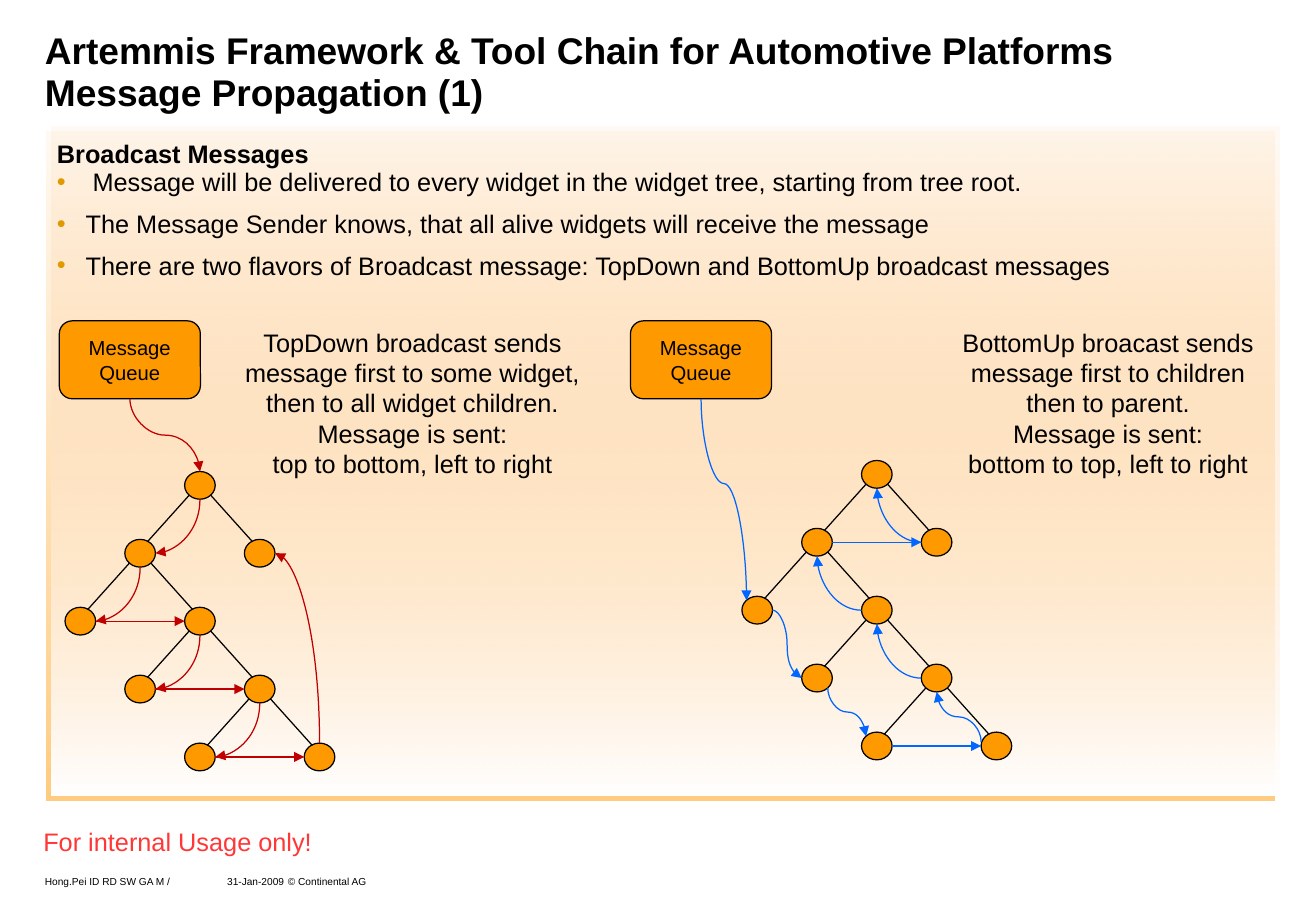
from lxml.etree import SubElement
from pptx import Presentation
from pptx.dml.color import RGBColor
from pptx.enum.shapes import MSO_CONNECTOR as Link, MSO_SHAPE as Shape
from pptx.enum.text import MSO_ANCHOR as Anchor, MSO_AUTO_SIZE as AutoSize, PP_ALIGN as Align
from pptx.oxml.ns import qn
from pptx.util import Cm, Pt

BLACK = RGBColor(0x00, 0x00, 0x00)
WHITE = RGBColor(0xFF, 0xFF, 0xFF)
ORANGE = RGBColor(0xFF, 0x99, 0x00)
PEACH = RGBColor(0xFF, 0xCC, 0x99)
OCHRE = RGBColor(0xE1, 0x99, 0x00)
NOTICE_RED = RGBColor(0xFF, 0x37, 0x37)
DARK_RED = RGBColor(0xC0, 0x00, 0x00)
BLUE = RGBColor(0x00, 0x66, 0xFF)

NODE_SIZE = (0.64, 0.58)
COLUMN_STEP, LEVEL_STEP = 1.25, 1.42
LEVELS = [(-1, 1), (-2, 0), (-1, 1), (0, 2)]
PARENTS = [0, 1, 4, 6]
PORTS = {
    "top": (0, -0.5, True),
    "bottom": (0, 0.5, True),
    "left": (-0.5, 0, False),
    "right": (0.5, 0, False),
    "top left": (-0.35, -0.35, True),
    "bottom right": (0.35, 0.35, True),
    "shoulder": (-0.5, -0.15, True),
}
TOP_DOWN = [
    (0, "bottom", 1, "right"), (8, "top", 2, "right"),
    (1, "bottom", 3, "right"), (3, "right", 4, "left"),
    (4, "bottom", 5, "right"), (5, "right", 6, "left"),
    (6, "bottom", 7, "right"), (7, "right", 8, "left"),
]
BOTTOM_UP = [
    (1, "right", 2, "left"), (2, "left", 0, "bottom"),
    (3, "right", 5, "left"), (4, "left", 1, "bottom"),
    (5, "bottom right", 7, "top left"), (6, "left", 4, "bottom"),
    (8, "shoulder", 6, "bottom"), (7, "right", 8, "left"),
]


def add_child(parent, tag, **attributes):
    return SubElement(parent, qn(tag), {key: str(value) for key, value in attributes.items()})


def write(para, text, size=15, color=BLACK, bold=False, align=Align.LEFT,
          line=None, after=None, bullet=None, tabs=()):
    para.alignment = align
    if line:
        para.line_spacing = Pt(line)
    para.space_before = Pt(0)
    para.space_after = Pt(after or 0)
    props = para._p.get_or_add_pPr()
    indent = Cm(0.6) if bullet else 0
    props.set("marL", str(indent))
    props.set("indent", str(-indent))
    if bullet:
        add_child(add_child(props, "a:buClr"), "a:srgbClr", val=OCHRE)
        add_child(props, "a:buFont", typeface="Arial")
        add_child(props, "a:buChar", char=bullet)
    else:
        add_child(props, "a:buNone")
    if tabs:
        stops = add_child(props, "a:tabLst")
        for position in tabs:
            add_child(stops, "a:tab", pos=Cm(position), algn="l")
    span = para.add_run()
    span.text = text
    span.font.name = "Arial"
    span.font.size = Pt(size)
    span.font.bold = bold
    span.font.color.rgb = color


def write_lines(frame, lines, **style):
    for index, text in enumerate(lines):
        write(frame.add_paragraph() if index else frame.paragraphs[0], text, **style)


def set_margins(frame, across=0.25, down=0.13):
    frame.margin_left = frame.margin_right = Cm(across)
    frame.margin_top = frame.margin_bottom = Cm(down)


def place(shape, box):
    shape.left, shape.top, shape.width, shape.height = map(Cm, box)


def add_label(page, box, lines, **style):
    label = page.shapes.add_textbox(*map(Cm, box))
    label.text_frame.word_wrap = False
    label.text_frame.auto_size = AutoSize.SHAPE_TO_FIT_TEXT
    write_lines(label.text_frame, lines, **style)
    return label


def add_orange_shape(page, kind, box):
    shape = page.shapes.add_shape(kind, *map(Cm, box))
    shape.shadow.inherit = False
    shape.fill.solid()
    shape.fill.fore_color.rgb = ORANGE
    shape.line.color.rgb = BLACK
    shape.line.width = Pt(0.75)
    return shape


def add_link(page, kind, start, end, color):
    link = page.shapes.add_connector(kind, *map(int, (*start, *end)))
    link.line.color.rgb = color
    link.line.width = Pt(0.75)
    add_child(link._element.spPr, "a:effectLst")
    return link


def find_port(shape, side):
    across, down, upright = PORTS[side]
    x = shape.left + shape.width * (0.5 + across)
    y = shape.top + shape.height * (0.5 + down)
    return (x, y), upright


def add_arrow(page, source, source_side, target, target_side, color, bend=0.5):
    start, leaves_upright = find_port(source, source_side)
    end, arrives_upright = find_port(target, target_side)
    arrow = add_link(page, Link.CURVE, start, end, color)
    add_child(arrow.line._get_or_add_ln(), "a:tailEnd", type="triangle")
    wide, high = end[0] - start[0], end[1] - start[1]
    flip_h, flip_v, turn = wide < 0, high < 0, 0
    if leaves_upright:
        flip_h, flip_v, turn = high > 0, wide < 0, 270
        arrow.left = int((start[0] + end[0] - abs(high)) / 2)
        arrow.top = int((start[1] + end[1] - abs(wide)) / 2)
        arrow.width, arrow.height = int(abs(high)), int(abs(wide))
    if flip_h and flip_v:
        flip_h, flip_v, turn = False, False, (turn + 180) % 360
    frame = arrow._element.spPr.find(qn("a:xfrm"))
    frame.set("rot", str(turn * 60000))
    frame.set("flipH", str(int(flip_h)))
    frame.set("flipV", str(int(flip_v)))
    shape = arrow._element.spPr.find(qn("a:prstGeom"))
    if leaves_upright != arrives_upright:
        shape.set("prst", "curvedConnector2")
    elif bend != 0.5:
        add_child(shape.find(qn("a:avLst")), "a:gd", name="adj1", fmla=f"val {round(bend * 100000)}")


def add_tree(page, left, top):
    wide, high = NODE_SIZE
    nodes = [add_orange_shape(page, Shape.OVAL, (left, top, wide, high))]
    for level, (columns, parent) in enumerate(zip(LEVELS, PARENTS), 1):
        for column, side in zip(columns, (-1, 1)):
            x, y = left + column * COLUMN_STEP, top + level * LEVEL_STEP
            child = add_orange_shape(page, Shape.OVAL, (x, y, wide, high))
            nodes.append(child)
            (start_x, start_y), _ = find_port(nodes[parent], "bottom")
            (end_x, end_y), _ = find_port(child, "top")
            add_link(page, Link.STRAIGHT,
                     (start_x + side * Cm(0.22), start_y - Cm(0.09)),
                     (end_x - side * Cm(0.15), end_y + Cm(0.05)), BLACK)
    return nodes


def add_broadcast(page, box, root, caption_box, caption, arrows, color, entry, bend):
    left, top = box
    nodes = add_tree(page, left + root[0], top + root[1])
    queue = add_orange_shape(page, Shape.ROUNDED_RECTANGLE, (left, top, 2.95, 1.63))
    queue.adjustments[0] = 0.167
    queue.text_frame.word_wrap = False
    queue.text_frame.vertical_anchor = Anchor.MIDDLE
    set_margins(queue.text_frame)
    write_lines(queue.text_frame, ["Message", "Queue"], size=12, align=Align.CENTER)
    add_arrow(page, queue, "bottom", nodes[entry[0]], entry[1], color, bend)
    for source, source_side, target, target_side in arrows:
        add_arrow(page, nodes[source], source_side, nodes[target], target_side, color)
    add_label(page, (left + caption_box[0], top, caption_box[1], 3.45), caption, align=Align.CENTER)


def add_panel(page, box):
    panel = page.shapes.add_shape(Shape.RECTANGLE, *map(Cm, box))
    panel.line.fill.background()
    panel.fill.gradient()
    panel.fill.gradient_angle = 270
    for stop, color in zip(panel.fill.gradient_stops, (PEACH, WHITE)):
        stop.color.rgb = color
    first_color = panel._element.spPr.find(".//" + qn("a:srgbClr"))
    add_child(first_color, "a:alpha", val=10000)
    effects = add_child(panel._element.spPr, "a:effectLst")
    shadow = add_child(effects, "a:outerShdw", dist=Pt(4.2), dir=135 * 60000,
                       algn="ctr", rotWithShape=0)
    add_child(add_child(shadow, "a:srgbClr", val=ORANGE), "a:alpha", val=50000)


def add_heading(title, box):
    place(title, box)
    frame = title.text_frame
    frame.auto_size = AutoSize.NONE
    frame.vertical_anchor = Anchor.BOTTOM
    set_margins(frame, 0, 0)
    write(frame.paragraphs[0], "Artemmis Framework & Tool Chain for Automotive Platforms "
          "Message Propagation (1)", size=22, bold=True, line=24.8)


def add_summary(body, box):
    place(body, box)
    frame = body.text_frame
    frame.auto_size = AutoSize.NONE
    frame.vertical_anchor = Anchor.TOP
    set_margins(frame)
    write(frame.paragraphs[0], "Broadcast Messages", bold=True)
    for text in (" Message will be delivered to every widget in the widget tree, starting from tree root.",
                 "The Message Sender knows, that all alive widgets will receive the message",
                 "There are two flavors of Broadcast message: TopDown and BottomUp broadcast messages"):
        write(frame.add_paragraph(), text, line=16.5, after=8.25, bullet="•")


def add_footer(page, left, top):
    add_label(page, (left - 0.3, top, 6.15, 0.89), ["For internal Usage only!"],
              color=NOTICE_RED, align=Align.CENTER)
    credit = add_label(page, (left, top + 0.99, 8.71, 0.41),
                       ["Hong.Pei ID RD SW GA M /\t31-Jan-2009\t© Continental AG"],
                       size=6, line=5.5, tabs=(2.74, 4.1))
    credit.text_frame.word_wrap = True
    credit.text_frame.auto_size = AutoSize.NONE
    credit.text_frame.vertical_anchor = Anchor.BOTTOM
    set_margins(credit.text_frame, 0, 0)


def main():
    deck = Presentation()
    deck.slide_width, deck.slide_height = Cm(27.51), Cm(19.05)
    page = deck.slides.add_slide(deck.slide_layouts[1])
    title, body = page.placeholders
    add_panel(page, (1.07, 2.64, 25.68, 14))
    tree = page.shapes._spTree
    for holder in (title, body):
        tree.append(holder._element)
    add_heading(title, (0.94, 0.64, 25.65, 1.75))
    add_summary(body, (0.94, 2.77, 25.83, 3.4))
    add_broadcast(page, (1.24, 6.71), (2.62, 3.15), (3.59, 7.59),
                  ["TopDown broadcast sends", "message first to some widget,",
                   "then to all widget children.", "Message is sent:",
                   "top to bottom, left to right"],
                  TOP_DOWN, DARK_RED, (0, "top"), 0.5)
    add_broadcast(page, (13.18, 6.71), (4.83, 2.92), (6.66, 6.65),
                  ["BottomUp broacast sends", "message first to children",
                   "then to parent.", "Message is sent:",
                   "bottom to top, left to right"],
                  BOTTOM_UP, BLUE, (3, "top left"), 0.42)
    add_footer(page, 0.94, 17.15)
    deck.save("out.pptx")


if __name__ == "__main__":
    main()
